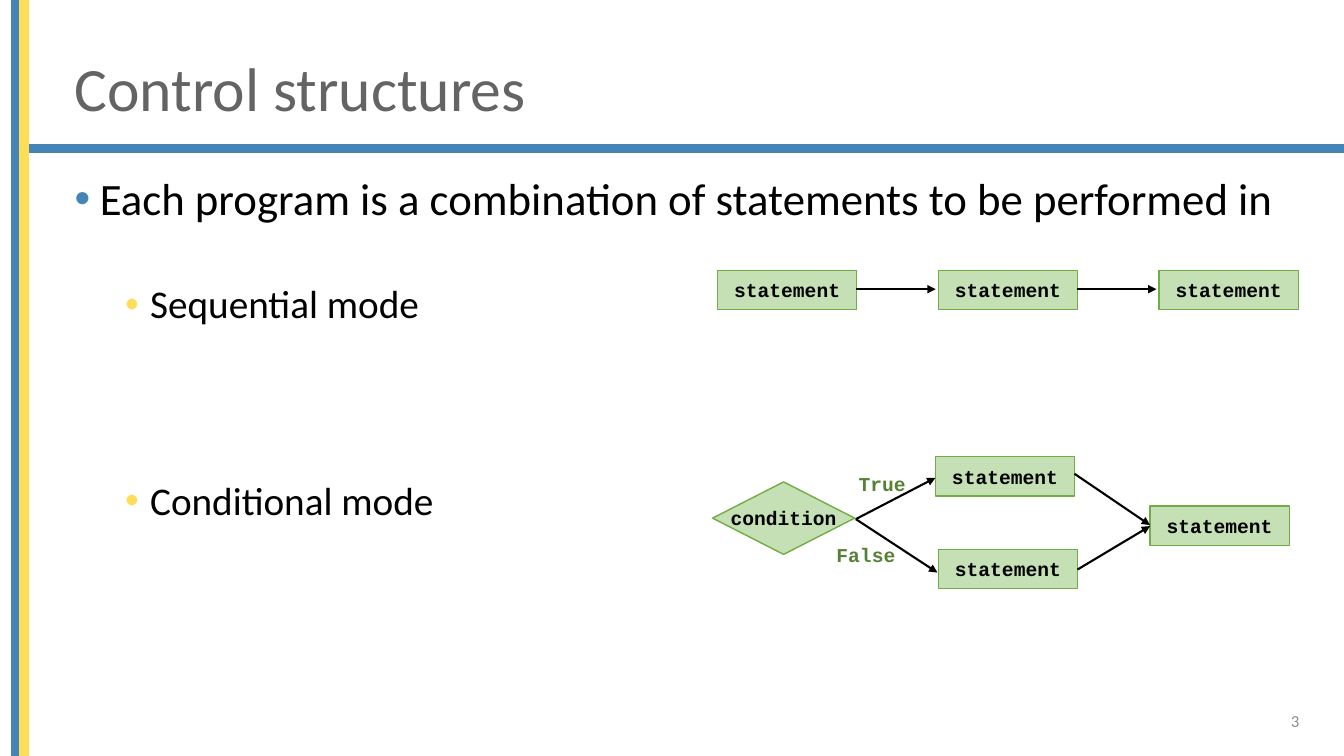
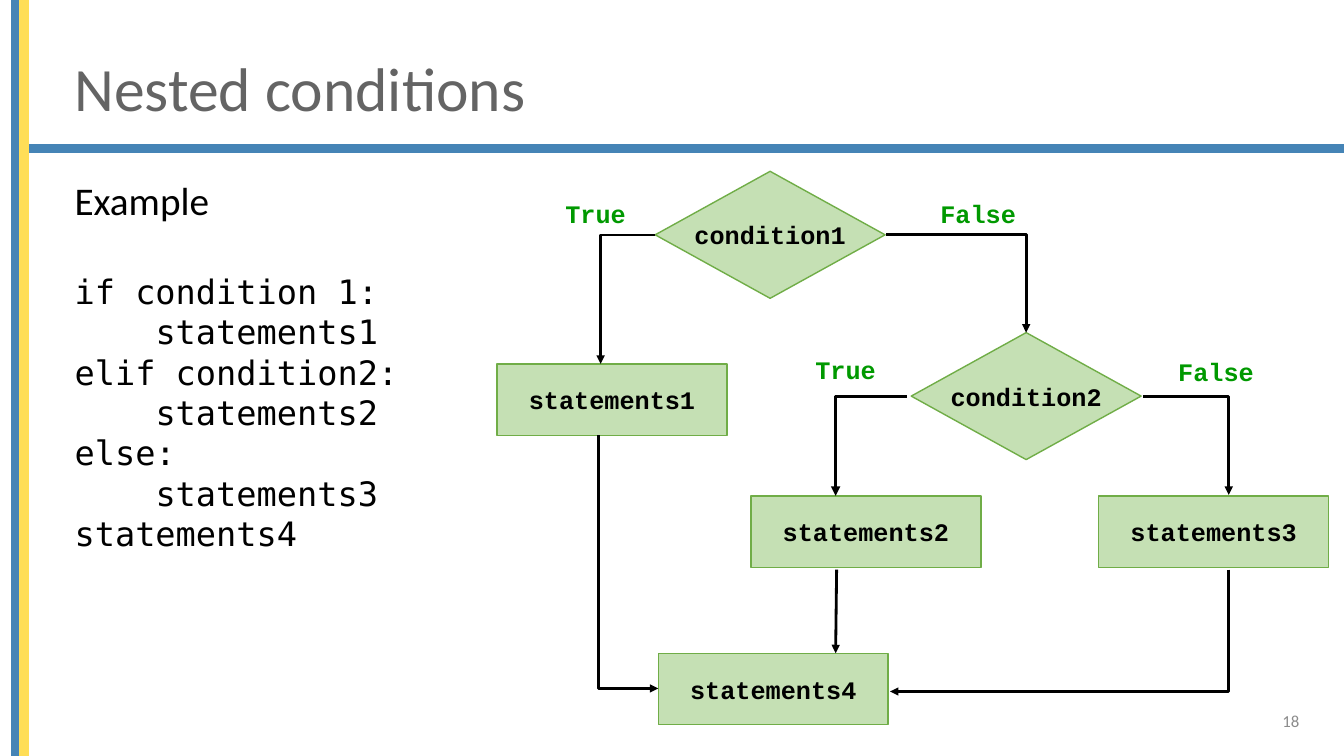
"""Build two slides on program flow: control structures and nested conditions."""
from dataclasses import dataclass
from typing import Optional

from lxml import etree
from pptx import Presentation
from pptx.dml.color import RGBColor as Rgb
from pptx.enum import shapes as sh, text as tx
from pptx.oxml import ns
from pptx.util import Pt


@dataclass(frozen=True)
class Theme:
    """Colours, fonts and type sizes."""
    blue: Rgb = Rgb(0x45, 0x84, 0xB6)
    gold: Rgb = Rgb(0xFF, 0xDE, 0x57)
    grey: Rgb = Rgb(0x64, 0x64, 0x64)
    pale: Rgb = Rgb(0x8C, 0x8C, 0x8C)
    black: Rgb = Rgb(0, 0, 0)
    mint: Rgb = Rgb(0xC5, 0xE0, 0xB4)
    edge: Rgb = Rgb(0x70, 0xAD, 0x47)
    moss: Rgb = Rgb(0x54, 0x82, 0x35)
    green: Rgb = Rgb(0, 0x99, 0)
    sans: str = "Calibri"
    mono: str = "Courier New"
    code: str = "DejaVu Sans Mono"
    title: float = 44
    lead: float = 32
    item: float = 28
    prog: float = 24
    large: float = 18
    small: float = 14
    foot: float = 12


@dataclass(frozen=True)
class Box:
    """A place on the slide, in points."""
    x: float
    y: float
    w: float
    h: float


@dataclass(frozen=True)
class Line:
    """A paragraph of the body."""
    words: str
    size: float
    face: str = "Calibri"
    before: float = 0
    left: float = 0
    level: int = 0
    space: float = 1
    dot: Optional[Rgb] = None


@dataclass(frozen=True)
class Node:
    """A box or a diamond of a flow chart."""
    words: str
    x: float
    y: float
    test: bool = False


@dataclass(frozen=True)
class Label:
    """The name of a branch."""
    words: str
    x: float
    y: float


@dataclass(frozen=True)
class Arrow:
    """A link from one point to the next; bend names its first leg."""
    x1: float
    y1: float
    x2: float
    y2: float
    bend: str = ""
    thick: float = 2


@dataclass(frozen=True)
class Chart:
    """A flow chart with its own scale."""
    size: float
    tint: Rgb
    step: tuple[float, float]
    test: tuple[float, float]
    nodes: list[Node]
    links: list[Arrow]
    names: list[Label]


@dataclass(frozen=True)
class Page:
    """All that one slide shows."""
    title: str
    number: str
    body: Box
    lines: list[Line]
    chart: Chart


T = Theme()
BANDS = [(Box(13.3, 103.3, 946.7, 5.8), T.blue),
         (Box(8.6, 0, 5.8, 540), T.blue),
         (Box(14.4, 0, 5.8, 540), T.gold)]
HEAD = Box(46.1, 28.8, 848.2, 72.7)
FOOT = Box(719.3, 500.4, 216, 28.8)
TAB = 57.8


def place(shape, box: Box) -> None:
    """Move and size a shape."""
    shape.left, shape.top = Pt(box.x), Pt(box.y)
    shape.width, shape.height = Pt(box.w), Pt(box.h)


def style(para, size: float, tint: Rgb, face: str, bold: bool = False) -> None:
    """Format the runs of a paragraph."""
    for run in para.runs:
        font = run.font
        font.size, font.name, font.bold = Pt(size), face, bold
        font.color.rgb = tint


def block(slide, kind, box: Box, fill: Rgb, edge: Rgb):
    """Draw a filled preset shape."""
    shape = slide.shapes.add_shape(kind, Pt(box.x), Pt(box.y), Pt(box.w), Pt(box.h))
    shape.shadow.inherit = False
    shape.fill.solid()
    shape.fill.fore_color.rgb = fill
    shape.line.color.rgb = edge
    shape.line.width = Pt(1)
    return shape


def note(slide, words: str, box: Box):
    """Add a text box and return it."""
    shape = slide.shapes.add_textbox(Pt(box.x), Pt(box.y), Pt(box.w), Pt(box.h))
    shape.text_frame.text = words
    return shape


def bands(slide, master) -> None:
    """Draw the bands and hand them to the master."""
    for box, tint in BANDS:
        shape = block(slide, sh.MSO_SHAPE.RECTANGLE, box, tint, tint)
        master.shapes.element.append(shape.element)


def bullet(para, line: Line) -> None:
    """Set the indent and the bullet of a paragraph."""
    props = para._p.get_or_add_pPr()
    props.set("marL", str(Pt(line.left)))
    props.set("indent", str(Pt(-18 if line.dot else 0)))
    if line.dot is None:
        etree.SubElement(props, ns.qn("a:buNone"))
        return
    tint = etree.SubElement(props, ns.qn("a:buClr"))
    etree.SubElement(tint, ns.qn("a:srgbClr"), val=str(line.dot))
    etree.SubElement(props, ns.qn("a:buFont"), typeface="Arial")
    etree.SubElement(props, ns.qn("a:buChar"), char="•")


def fill(frame, lines: list[Line]) -> None:
    """Write the body text."""
    frame.word_wrap = True
    frame.auto_size = tx.MSO_AUTO_SIZE.NONE
    frame.text = "\n".join(line.words for line in lines)
    for para, line in zip(frame.paragraphs, lines):
        para.level = line.level
        para.line_spacing = line.space
        para.space_before, para.space_after = Pt(line.before), Pt(0)
        bullet(para, line)
        style(para, line.size, T.black, line.face)


def link(slide, arrow: Arrow) -> None:
    """Draw a straight or bent arrow."""
    kind = sh.MSO_CONNECTOR.ELBOW if arrow.bend else sh.MSO_CONNECTOR.STRAIGHT
    wire = slide.shapes.add_connector(
        kind, Pt(arrow.x1), Pt(arrow.y1), Pt(arrow.x2), Pt(arrow.y2))
    wire.line.color.rgb = T.black
    wire.line.width = Pt(arrow.thick)
    props = wire.element.spPr
    geom = props.find(ns.qn("a:prstGeom"))
    if arrow.bend == "across":
        geom.set("prst", "bentConnector2")
    elif arrow.bend == "down":
        guides = geom.find(ns.qn("a:avLst"))
        etree.SubElement(guides, ns.qn("a:gd"), name="adj1", fmla="val 0")
    etree.SubElement(props.find(ns.qn("a:ln")), ns.qn("a:tailEnd"), type="triangle")
    etree.SubElement(props, ns.qn("a:effectLst"))


def draw(slide, chart: Chart) -> None:
    """Draw a flow chart."""
    for node in chart.nodes:
        kind = sh.MSO_SHAPE.FLOWCHART_DECISION if node.test else sh.MSO_SHAPE.RECTANGLE
        box = Box(node.x, node.y, *(chart.test if node.test else chart.step))
        frame = block(slide, kind, box, T.mint, T.edge).text_frame
        frame.word_wrap = False
        frame.vertical_anchor = tx.MSO_ANCHOR.MIDDLE
        frame.text = node.words
        frame.paragraphs[0].alignment = tx.PP_ALIGN.CENTER
        style(frame.paragraphs[0], chart.size, T.black, T.mono, True)
    for arrow in chart.links:
        link(slide, arrow)
    for name in chart.names:
        width = 0.6 * chart.size * len(name.words) + 15
        box = Box(name.x, name.y, width, 1.2 * chart.size + 7.2)
        frame = note(slide, name.words, box).text_frame
        frame.word_wrap = False
        style(frame.paragraphs[0], chart.size, chart.tint, T.mono, True)


def build(slide, page: Page) -> None:
    """Fill one slide."""
    head, body = slide.placeholders[0], slide.placeholders[1]
    place(head, HEAD)
    frame = head.text_frame
    frame.text = page.title
    frame.vertical_anchor = tx.MSO_ANCHOR.MIDDLE
    para = frame.paragraphs[0]
    para.alignment, para.line_spacing = tx.PP_ALIGN.LEFT, 0.9
    style(para, T.title, T.grey, T.sans)
    place(body, page.body)
    fill(body.text_frame, page.lines)
    draw(slide, page.chart)
    frame = note(slide, page.number, FOOT).text_frame
    frame.word_wrap = True
    frame.vertical_anchor = tx.MSO_ANCHOR.MIDDLE
    frame.paragraphs[0].alignment = tx.PP_ALIGN.RIGHT
    style(frame.paragraphs[0], T.foot, T.pale, T.sans)


def code(words: str, deep: bool = False, before: float = 0) -> Line:
    """Make one line of code."""
    return Line(words, T.prog, T.code, before, TAB if deep else 0)


def mode(words: str, before: float) -> Line:
    """Make one item of the second level."""
    return Line(words, T.item, T.sans, before, 54, 1, 0.9, T.gold)


GAP = 157.7
MODES = Chart(
    T.small, T.moss, (99.4, 28.1), (101.5, 51.8),
    [Node("statement", 512.6 + GAP * i, 193) for i in range(3)]
    + [Node("statement", 668.2, 326.2), Node("statement", 670.3, 392.4),
       Node("statement", 821.5, 361.4), Node("condition", 509, 344.2, True)],
    [Arrow(611.5 + GAP * i, 206.6, 668.4 + GAP * i, 206.6, thick=1.5) for i in range(2)]
    + [Arrow(611.3, 370.8, 668.2, 341.3, thick=1.5),
       Arrow(611.3, 370.8, 669.6, 409, thick=1.5),
       Arrow(769.7, 406.8, 821.5, 375.8, thick=1.5),
       Arrow(767.5, 338.4, 821.5, 375.1, thick=1.5)],
    [Label("True", 606.2, 333.4), Label("False", 590.4, 384.5)])
NEST = Chart(
    T.large, T.green, (164.2, 51.1), (164.2, 90.7),
    [Node("condition1", 468, 122.4, True), Node("condition2", 650.9, 237.6, True),
     Node("statements1", 355, 259.9), Node("statements2", 536.4, 354.2),
     Node("statements3", 784.8, 354.2), Node("statements4", 470.2, 466.6)],
    [Arrow(468, 167.8, 429.1, 259.9, "across"),
     Arrow(632.9, 167.8, 733, 237.6, "across"),
     Arrow(648, 283, 596.9, 354.2, "across", 2.25),
     Arrow(816.5, 283, 877.7, 353.5, "across"),
     Arrow(427.7, 311, 470.2, 491.8, "down"),
     Arrow(877.7, 406.8, 635.8, 493.9, "down"),
     Arrow(597.6, 406.8, 596.9, 466.6)],
    [Label("True", 396.7, 138.2), Label("False", 664.6, 138.2),
     Label("True", 575.3, 249.8), Label("False", 834.5, 251.3)])
PAGES = [
    Page("Control structures", "3", Box(46.1, 122.4, 902.9, 364.3),
         [Line("Each program is a combination of statements to be performed in",
               T.lead, T.sans, 10, 18, 0, 0.9, T.blue),
          mode("Sequential mode", 43), mode("Conditional mode", 110)], MODES),
    Page("Nested conditions", "18", Box(46.1, 122.4, 889.2, 409.7),
         [Line("Example", T.item), code("if condition 1:", before=34),
          code("statements1", True), code("elif condition2:"),
          code("statements2", True), code("else:"),
          code("statements3", True), code("statements4")], NEST)]


def main() -> None:
    """Build and save the deck."""
    deck = Presentation()
    deck.slide_width, deck.slide_height = Pt(960), Pt(540)
    slides = [deck.slides.add_slide(deck.slide_layouts[1]) for _ in PAGES]
    bands(slides[0], deck.slide_master)
    for slide, page in zip(slides, PAGES):
        build(slide, page)
    deck.save("out.pptx")


main()
